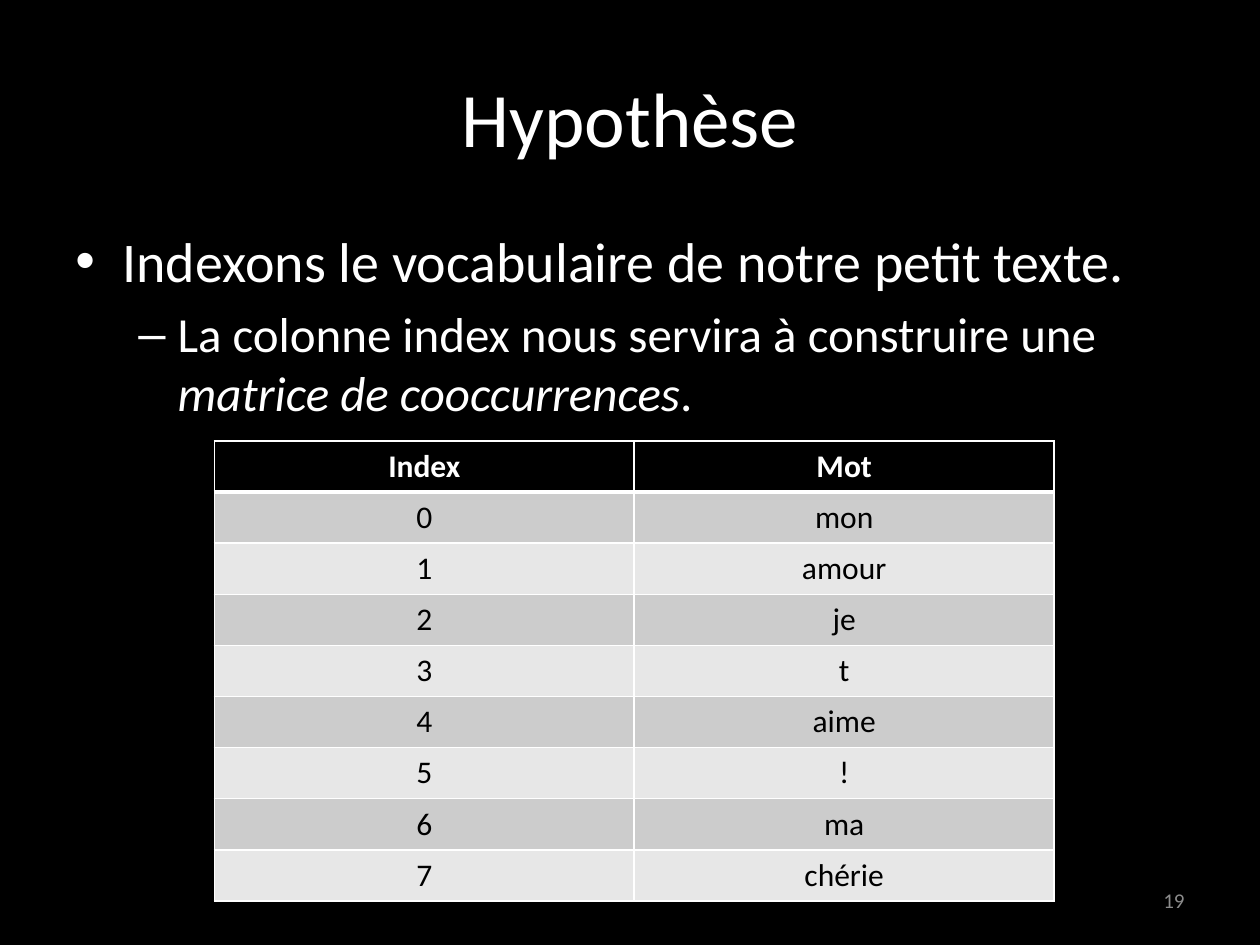
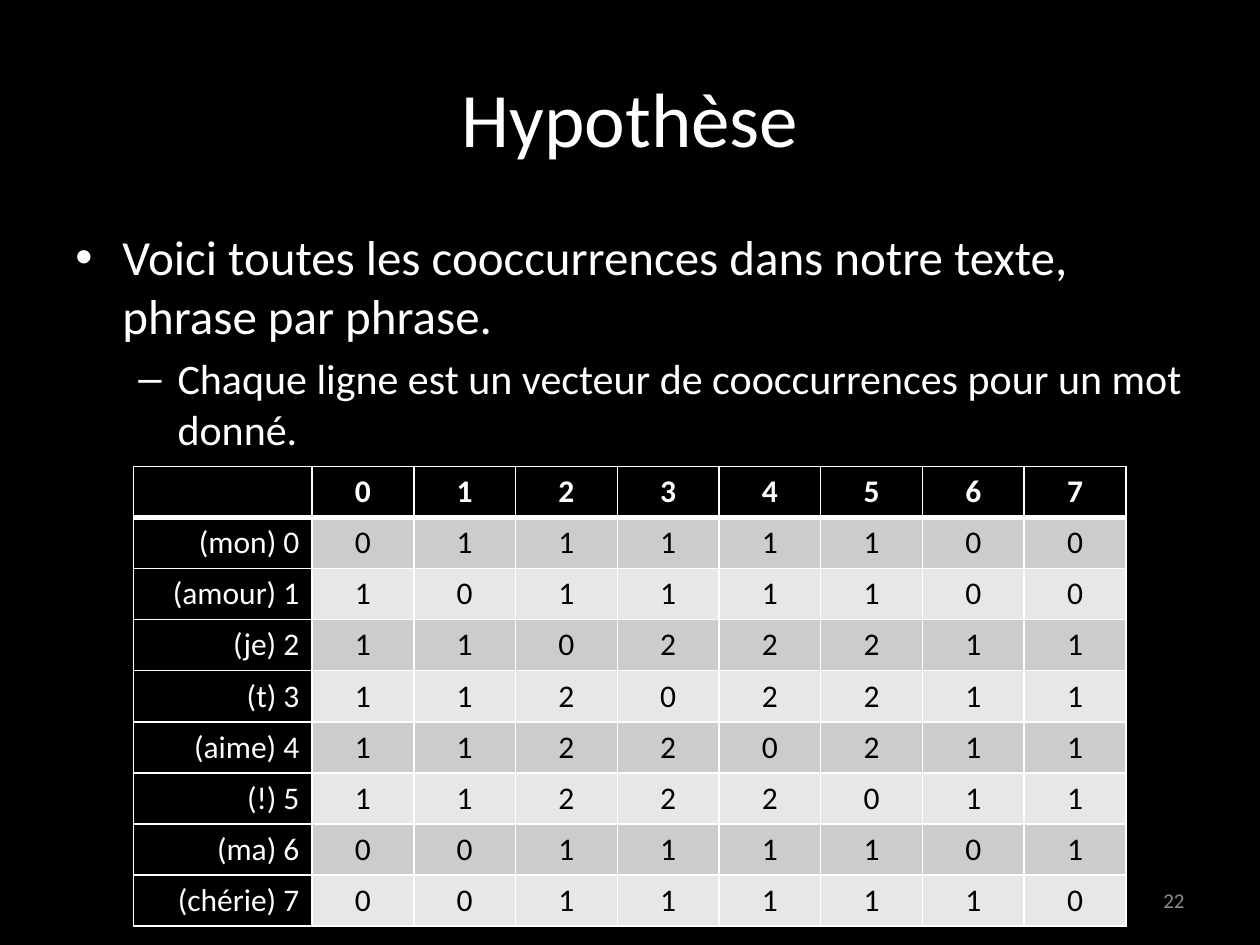
from dataclasses import dataclass

from lxml.etree import SubElement
from pptx import Presentation
from pptx.dml.color import RGBColor
from pptx.enum.text import MSO_ANCHOR as Anchor, PP_ALIGN as Align
from pptx.oxml import parse_xml
from pptx.oxml.ns import nsdecls, qn
from pptx.util import Cm, Pt

BLACK = RGBColor(0x00, 0x00, 0x00)
WHITE = RGBColor(0xFF, 0xFF, 0xFF)
GREY = RGBColor(0x8C, 0x8C, 0x8C)
BANDS = (RGBColor(0xCC, 0xCC, 0xCC), RGBColor(0xE7, 0xE7, 0xE7))

FONT = "Calibri"
ROW_HEIGHT = 1.03
THIN, THICK = 1, 3
BULLETS = (("•", 0.95, -0.95), ("–", 2.06, -0.79))

VOCABULARY = ("mon", "amour", "je", "t", "aime", "!", "ma", "chérie")
SENTENCES = (
    {"mon", "amour", "je", "t", "aime", "!"},
    {"je", "t", "aime", "!", "ma", "chérie"},
)


@dataclass
class Box:
    left: float
    top: float
    width: float
    height: float

    def lengths(self):
        return [Cm(value) for value in (self.left, self.top, self.width, self.height)]


TITLE_BOX = Box(1.27, 0.76, 22.86, 3.18)
BODY_BOX = Box(1.27, 4.45, 22.86, 12.57)
NUMBER_BOX = Box(18.2, 17.65, 5.93, 1.01)
INDEX_BOX = Box(4.32, 8.89, 16.93, 9 * ROW_HEIGHT)
MATRIX_BOX = Box(2.69, 9.4, 20.01, 9 * ROW_HEIGHT)


def apply_format(target, values):
    for name, value in values.items():
        setattr(target, name, value)


def add_run(paragraph, text, size, color=WHITE, bold=False, italic=False):
    run = paragraph.add_run()
    run.text = text
    apply_format(run.font, {"name": FONT, "size": Pt(size), "bold": bold, "italic": italic})
    run.font.color.rgb = color


def set_bullet(paragraph, level):
    symbol, margin, indent = BULLETS[level]
    properties = paragraph._p.get_or_add_pPr()
    properties.set("marL", str(Cm(margin)))
    properties.set("indent", str(Cm(indent)))
    SubElement(properties, qn("a:buFont"), typeface="Arial")
    SubElement(properties, qn("a:buChar"), char=symbol)


def add_title(slide, box, text):
    title = slide.shapes.title
    apply_format(title, dict(zip(("left", "top", "width", "height"), box.lengths())))
    title.text_frame.vertical_anchor = Anchor.MIDDLE
    paragraph = title.text_frame.paragraphs[0]
    paragraph.alignment = Align.CENTER
    add_run(paragraph, text, 44)


def add_body(slide, box, items, sizes):
    frame = slide.shapes.add_textbox(*box.lengths()).text_frame
    frame.word_wrap = True
    for level, (runs, size) in enumerate(zip(items, sizes)):
        paragraph = frame.add_paragraph() if level else frame.paragraphs[0]
        apply_format(paragraph, {"level": level, "space_before": Pt(size * 0.2)})
        set_bullet(paragraph, level)
        for text, italic in runs:
            add_run(paragraph, text, size, italic=italic)


def add_page_number(slide, box, number):
    frame = slide.shapes.add_textbox(*box.lengths()).text_frame
    apply_format(frame, {"word_wrap": True, "vertical_anchor": Anchor.MIDDLE})
    paragraph = frame.paragraphs[0]
    paragraph.alignment = Align.RIGHT
    add_run(paragraph, str(number), 12, GREY)


def set_borders(cell, widths):
    properties = cell._tc.get_or_add_tcPr()
    for position, (side, width) in enumerate(widths.items()):
        properties.insert(position, parse_xml(
            f'<a:ln{side} {nsdecls("a")} w="{Pt(width)}"><a:solidFill>'
            f'<a:srgbClr val="{WHITE}"/></a:solidFill></a:ln{side}>'))


def fill_cell(cell, text, row, is_label):
    is_header = row == 0
    is_dark = is_header or is_label
    cell.fill.solid()
    cell.fill.fore_color.rgb = BLACK if is_dark else BANDS[(row - 1) % 2]
    cell.vertical_anchor = Anchor.MIDDLE
    set_borders(cell, {
        "L": THIN, "R": THIN,
        "T": THICK if row == 1 else THIN,
        "B": THICK if is_header else THIN,
    })
    paragraph = cell.text_frame.paragraphs[0]
    paragraph.alignment = Align.RIGHT if is_label else Align.CENTER
    if text:
        add_run(paragraph, text, 18, WHITE if is_dark else BLACK, bold=is_header)


def add_grid(slide, box, rows, label_width=None):
    column_count = len(rows[0])
    table = slide.shapes.add_table(len(rows), column_count, *box.lengths()).table
    table.horz_banding = False
    if label_width:
        widths = [label_width] + [(box.width - label_width) / (column_count - 1)] * (column_count - 1)
    else:
        widths = [box.width / column_count] * column_count
    for column, width in zip(table.columns, widths):
        column.width = Cm(width)
    for row, texts in enumerate(rows):
        table.rows[row].height = Cm(box.height / len(rows))
        for column, text in enumerate(texts):
            fill_cell(table.cell(row, column), text, row, bool(label_width) and column == 0)


def count_cooccurrences(first, second):
    if first == second:
        return 0
    return sum({first, second} <= sentence for sentence in SENTENCES)


def index_rows():
    return [("Index", "Mot")] + [(str(index), word) for index, word in enumerate(VOCABULARY)]


def matrix_rows():
    header = [""] + [str(index) for index in range(len(VOCABULARY))]
    return [header] + [
        [f"({word}) {index}"] + [str(count_cooccurrences(word, other)) for other in VOCABULARY]
        for index, word in enumerate(VOCABULARY)
    ]


def add_hypothesis_slide(presentation, number, items, sizes):
    slide = presentation.slides.add_slide(presentation.slide_layouts.get_by_name("Title Only"))
    add_title(slide, TITLE_BOX, "Hypothèse")
    add_body(slide, BODY_BOX, items, sizes)
    add_page_number(slide, NUMBER_BOX, number)
    return slide


def main():
    presentation = Presentation()
    apply_format(presentation, {"slide_width": Cm(25.4), "slide_height": Cm(19.05)})
    background = presentation.slide_master.background.fill
    background.solid()
    background.fore_color.rgb = BLACK

    index_slide = add_hypothesis_slide(presentation, 19, (
        [("Indexons le vocabulaire de notre petit texte.", False)],
        [("La colonne index nous servira à construire une ", False),
         ("matrice de cooccurrences", True), (".", False)],
    ), (32, 28))
    add_grid(index_slide, INDEX_BOX, index_rows())

    matrix_slide = add_hypothesis_slide(presentation, 22, (
        [("Voici toutes les cooccurrences dans notre texte, phrase par phrase.", False)],
        [("Chaque ligne est un vecteur de cooccurrences pour un mot donné.", False)],
    ), (28, 24))
    add_grid(matrix_slide, MATRIX_BOX, matrix_rows(), label_width=3.6)

    presentation.save("out.pptx")


if __name__ == "__main__":
    main()
